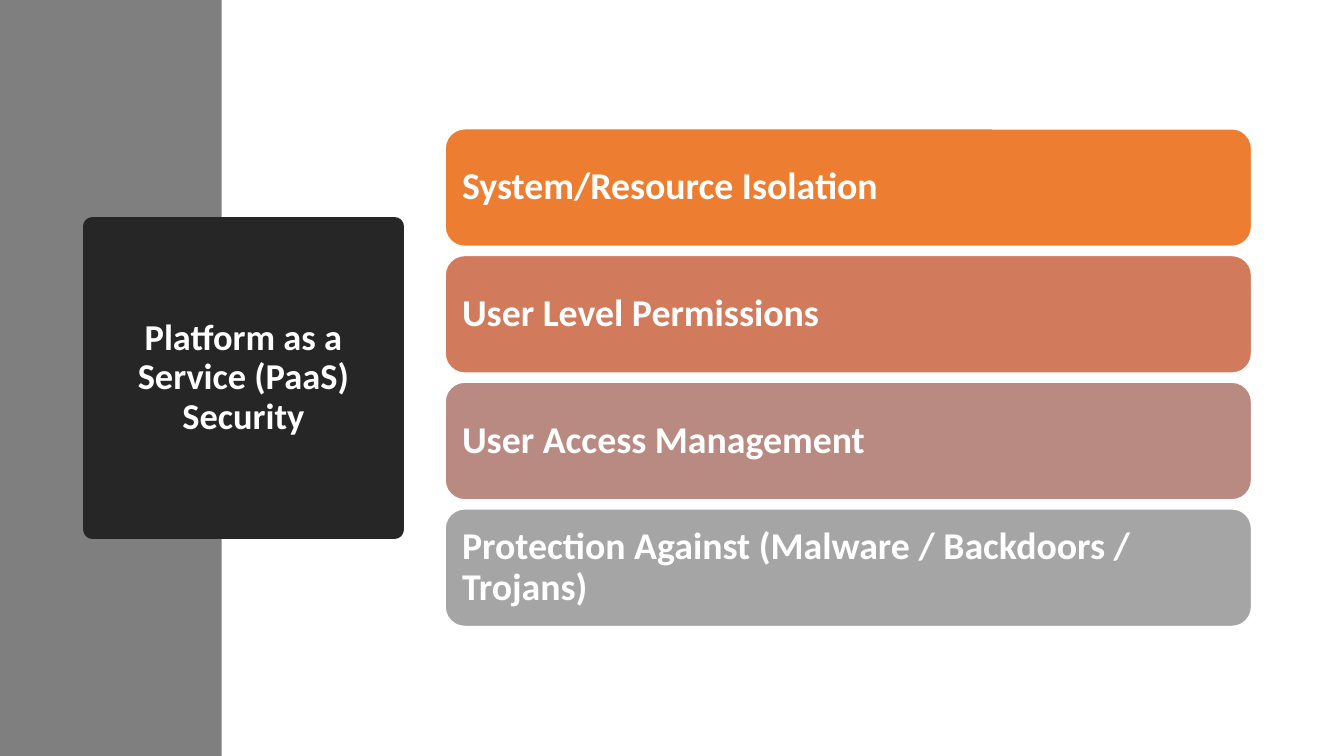
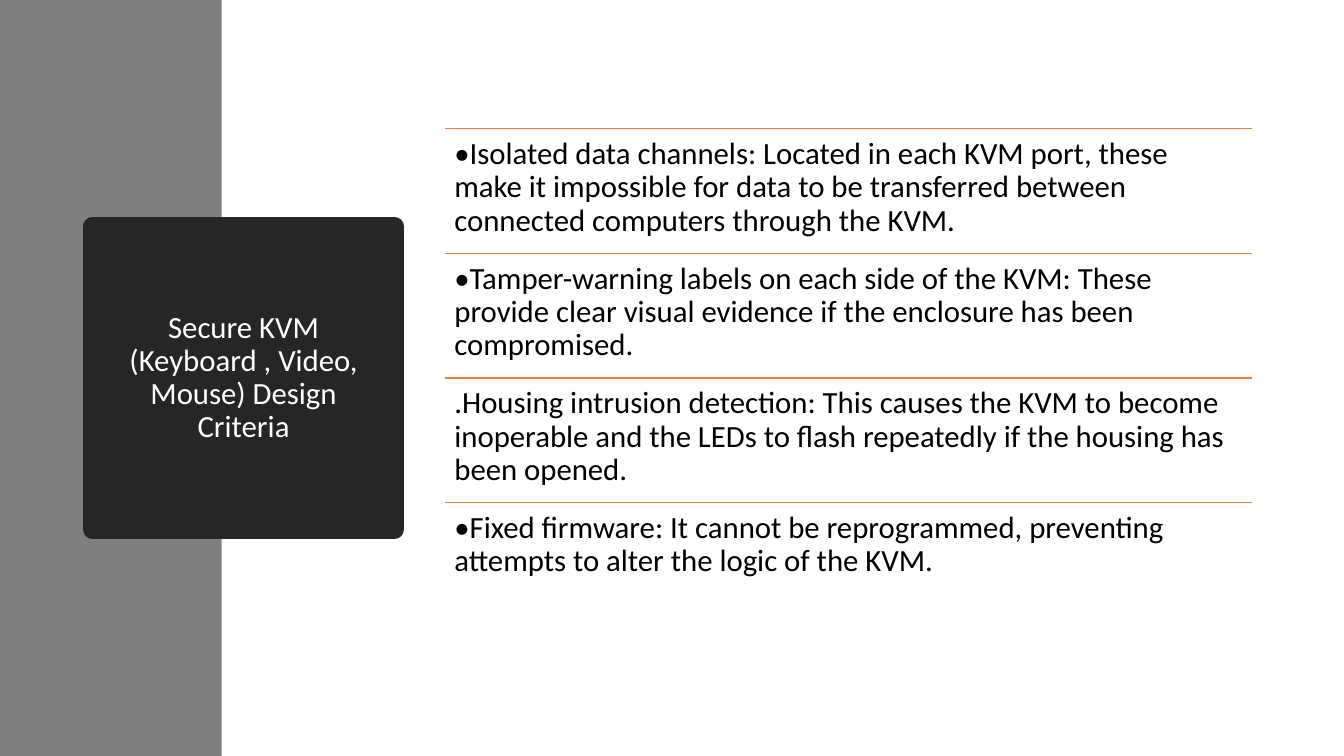
from dataclasses import dataclass

from lxml import etree
from pptx import Presentation
from pptx.dml.color import RGBColor
from pptx.enum.shapes import MSO_CONNECTOR, MSO_SHAPE
from pptx.enum.text import MSO_ANCHOR, PP_ALIGN
from pptx.oxml.ns import qn
from pptx.util import Pt

RECT, ROUND = MSO_SHAPE.RECTANGLE, MSO_SHAPE.ROUNDED_RECTANGLE
LINE = MSO_CONNECTOR.STRAIGHT
TOP, MIDDLE = MSO_ANCHOR.TOP, MSO_ANCHOR.MIDDLE
LEFT, CENTER = PP_ALIGN.LEFT, PP_ALIGN.CENTER

# Shared colours, font and grid (points)
WHITE, BLACK, DARK, GREY, ORANGE = "FFFFFF", "000000", "262626", "7F7F7F", "ED7D31"
FONT = "Calibri"
WIDE, HIGH = 960, 540
LIST_X, LIST_Y, LIST_W = 318, 92, 576
BAR_H, BAR_STEP = 84, 90.5
ROW_H = 89


@dataclass
class Box:
    x: float
    y: float
    w: float
    h: float


@dataclass
class Style:
    size: float
    color: str = WHITE
    bold: bool = False
    align: PP_ALIGN = LEFT
    anchor: MSO_ANCHOR = MIDDLE
    inset: float = 8


@dataclass
class Bar:
    text: str
    fill: str


BARS = [
    Bar("System/Resource Isolation", ORANGE),
    Bar("User Level Permissions", "D17B5C"),
    Bar("User Access Management", "B98A82"),
    Bar("Protection Against (Malware / Backdoors / Trojans)", "A5A5A5"),
]
ROWS = [
    "•Isolated data channels: Located in each KVM port, these make it impossible "
    "for data to be transferred between connected computers through the KVM.",
    "•Tamper-warning labels on each side of the KVM: These provide clear visual "
    "evidence if the enclosure has been compromised.",
    ".Housing intrusion detection: This causes the KVM to become inoperable and "
    "the LEDs to flash repeatedly if the housing has been opened.",
    "•Fixed firmware: It cannot be reprogrammed, preventing attempts to alter "
    "the logic of the KVM.",
]


def rgb(code: str) -> RGBColor:
    return RGBColor.from_string(code)


def place(box: Box) -> tuple:
    return Pt(box.x), Pt(box.y), Pt(box.w), Pt(box.h)


def write(shape, text: str, style: Style) -> None:
    frame = shape.text_frame
    frame.word_wrap = True
    frame.vertical_anchor = style.anchor
    frame.margin_left = frame.margin_right = Pt(style.inset)
    frame.margin_top = frame.margin_bottom = Pt(style.inset)
    para = frame.paragraphs[0]
    para.text = text
    para.alignment = style.align
    para.line_spacing = 0.9
    font = para.font
    font.name, font.size, font.bold = FONT, Pt(style.size), style.bold
    font.color.rgb = rgb(style.color)


def draw(slide, kind: MSO_SHAPE, box: Box, fill: str, edge: str = "", width: float = 1):
    shape = slide.shapes.add_shape(kind, *place(box))
    shape.shadow.inherit = False
    shape.fill.solid()
    shape.fill.fore_color.rgb = rgb(fill)
    if edge:
        shape.line.color.rgb = rgb(edge)
        shape.line.width = Pt(width)
    else:
        shape.line.fill.background()
    return shape


def rule(slide, x: float, y: float, w: float) -> None:
    line = slide.shapes.add_connector(LINE, Pt(x), Pt(y), Pt(x + w), Pt(y))
    line.line.color.rgb = rgb(ORANGE)
    line.line.width = Pt(1)
    etree.SubElement(line._element.spPr, qn("a:effectLst"))


def start(deck, title: str, size: float, bold: bool = False):
    """Add a slide with the side band and the title block."""
    slide = deck.slides.add_slide(deck.slide_layouts[6])
    draw(slide, RECT, Box(0, 0, 158.4, HIGH), GREY)
    block = draw(slide, RECT, Box(66, 162, 216, 216), DARK, DARK, 13.75)
    # Round line joins soften the corners of the block
    etree.SubElement(block.line._get_or_add_ln(), qn("a:round"))
    write(block, title, Style(size, bold=bold, align=CENTER, inset=10))
    return slide


def main() -> None:
    deck = Presentation()
    deck.slide_width, deck.slide_height = Pt(WIDE), Pt(HIGH)

    # Slide 1: coloured bars
    slide = start(deck, "Platform as a Service (PaaS) Security", 26, bold=True)
    label = Style(27, bold=True)
    for i, bar in enumerate(BARS):
        box = Box(LIST_X, LIST_Y + i * BAR_STEP, LIST_W, BAR_H)
        write(draw(slide, ROUND, box, bar.fill, WHITE), bar.text, label)

    # Slide 2: ruled list
    slide = start(deck, "Secure KVM (Keyboard , Video, Mouse) Design Criteria", 22)
    body = Style(22, BLACK, anchor=TOP, inset=6.6)
    for i, text in enumerate(ROWS):
        box = Box(LIST_X, LIST_Y + i * ROW_H, LIST_W, ROW_H)
        rule(slide, box.x, box.y, box.w)
        write(slide.shapes.add_textbox(*place(box)), text, body)

    deck.save("out.pptx")


if __name__ == "__main__":
    main()
